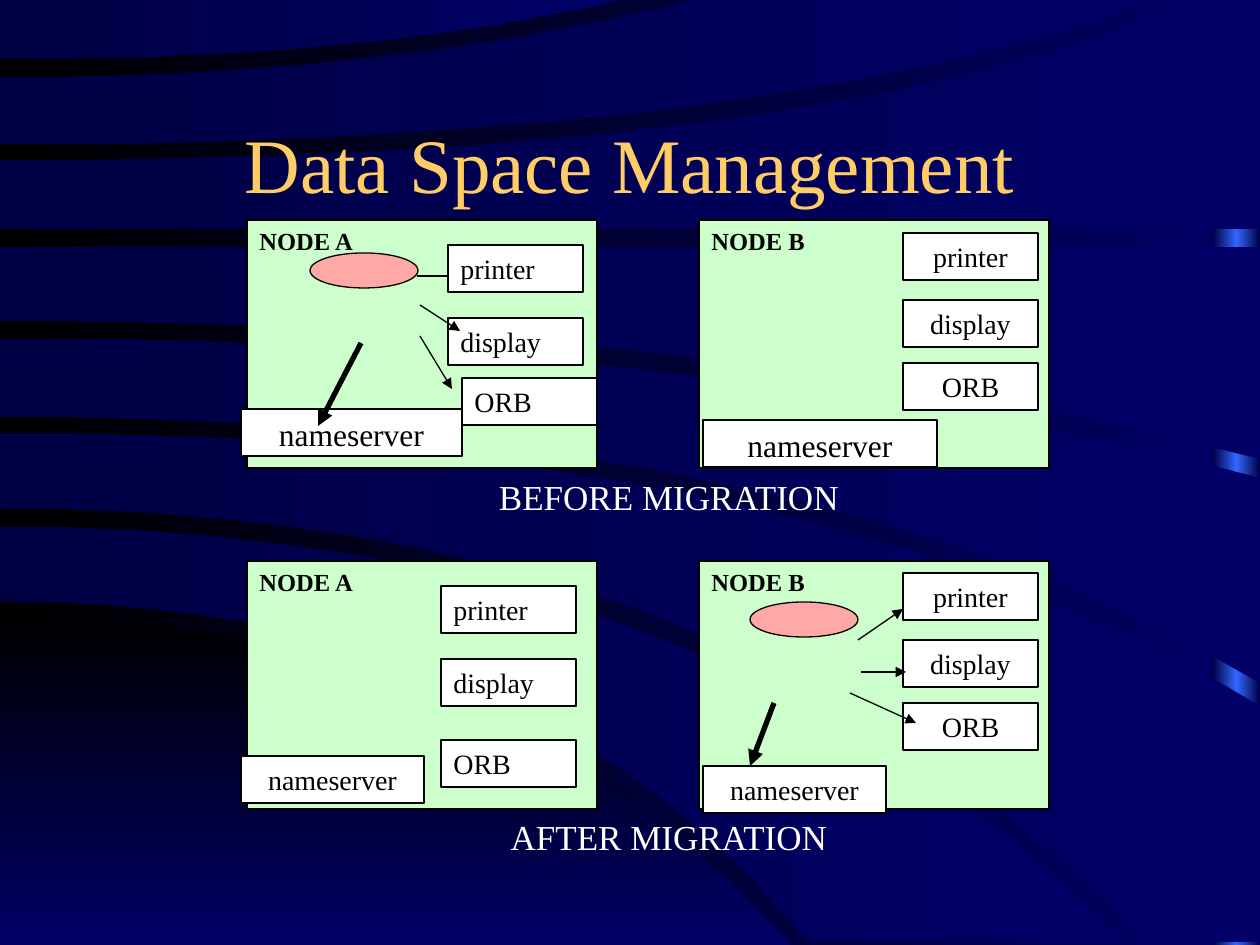
"""Build the Data Space Management slide: nodes before and after migration."""
from lxml.etree import SubElement
from copy import deepcopy
from pptx import Presentation
from pptx.dml.color import RGBColor
from pptx.enum.shapes import MSO_CONNECTOR, MSO_SHAPE
from pptx.enum.text import MSO_ANCHOR, PP_ALIGN
from pptx.oxml.ns import qn
from pptx.util import Pt

PX = 914400 / 126
FONT = "Times New Roman"
COLORS = {"navy": "000066", "deep": "000044", "black": "000000", "blue": "3366FF", "gold": "FFCC66",
          "green": "CCFFCC", "pink": "FEA8A8", "white": "FFFFFF"}
LEFT, CENTER = PP_ALIGN.LEFT, PP_ALIGN.CENTER
STEPS = 20

CORNER = {"upper": (619, 506, 791, 945), "lower": (945, 400, 791, 945)}
WAVES = [
    {"upper": (527, 718, 1125, 942), "lower": (601, 530, 809, 942)},
    {"upper": (433, 812, 1260, 706), "lower": (508, 742, 1145, 942), "corner": (1260, 942)},
    {"upper": (339, 721, 1260, 478), "lower": (416, 809, 1260, 683)},
    {"upper": (247, 630, 1260, 247), "lower": (321, 738, 1260, 459)},
    {"upper": (161, 843, 1188, 0), "lower": (229, 630, 1260, 229), "corner": (1260, 0)},
    {"upper": (78, 392, 691, 0), "lower": (144, 774, 1152, 0)},
    {"upper": (0, 310, 620, 0), "lower": (59, 372, 620, 0)},
]

SERVICES = ["printer", "display", "ORB"]
NODES = [
    {"name": "NODE A", "at": (247, 220), "align": LEFT, "services": [(448, 245), (448, 318), (462, 378)],
     "server": (241, 409, 221, 18), "process": (310, 253), "under": [(417, 276, 490, 276, 0.75)],
     "over": [(420, 336, 452, 389, 0.75), (420, 305, 460, 331, 0.75), (361, 343, 318, 426, 3)]},
    {"name": "NODE B", "at": (699, 220), "align": CENTER, "services": [(903, 233), (903, 300), (903, 363)],
     "server": (703, 420, 234, 18)},
    {"name": "NODE A", "at": (247, 561), "align": LEFT, "services": [(441, 586), (441, 659), (441, 740)],
     "server": (241, 756, 183, 16)},
    {"name": "NODE B", "at": (699, 561), "align": CENTER, "services": [(903, 573), (903, 640), (903, 703)],
     "server": (703, 766, 183, 16), "process": (750, 602),
     "over": [(858, 640, 903, 609, 0.75), (861, 672, 906, 672, 0.75), (850, 693, 916, 723, 0.75),
              (774, 703, 750, 766, 3)]},
]
CAPTIONS = [("BEFORE MIGRATION", 469), ("AFTER MIGRATION", 809)]


def emu(*values):
    return [round(v * PX) for v in values]


def rgb(name):
    return RGBColor.from_string(COLORS[name])


def gradient(fill, names, angle=180):
    fill.gradient()
    fill.gradient_angle = angle
    first = fill.gradient_stops[0]._gs
    for _ in names[2:]:
        first.addnext(deepcopy(first))
    for i, (stop, name) in enumerate(zip(fill.gradient_stops, names)):
        stop.position = i / (len(names) - 1)
        stop.color.rgb = rgb(name)


def write(sp, text, size, color, align, bold=False, anchor=MSO_ANCHOR.TOP):
    tf = sp.text_frame
    tf.word_wrap = True
    tf.vertical_anchor = anchor
    p = tf.paragraphs[0]
    p.alignment = align
    r = p.add_run()
    r.text = text
    r.font.name, r.font.size, r.font.bold = FONT, Pt(size), bold
    r.font.color.rgb = rgb(color)


def shape(s, kind, box, color):
    sp = s.shapes.add_shape(kind, *emu(*box))
    sp.shadow.inherit = False
    sp.fill.solid()
    sp.fill.fore_color.rgb = rgb(color)
    sp.line.color.rgb = rgb("black")
    sp.line.width = Pt(0.75)
    return sp


def curve(start_y, bend_x, end_x, end_y):
    ts = [i / STEPS for i in range(STEPS + 1)]
    return [(2 * t * (1 - t) * bend_x + t * t * end_x, start_y + t * t * (end_y - start_y)) for t in ts]


def wave(s, band, names, angle=180):
    corner = [band["corner"]] if "corner" in band else []
    points = curve(*band["upper"]) + corner + curve(*band["lower"])[::-1]
    builder = s.shapes.build_freeform(*points[0], scale=PX)
    builder.add_line_segments(points[1:])
    sp = builder.convert_to_shape()
    sp.shadow.inherit = False
    sp.line.fill.background()
    gradient(sp.fill, names, angle)


def arrow(s, x1, y1, x2, y2, width):
    c = s.shapes.add_connector(MSO_CONNECTOR.STRAIGHT, *emu(x1, y1, x2, y2))
    c.line.color.rgb = rgb("black")
    c.line.width = Pt(width)
    SubElement(c.line._get_or_add_ln(), qn("a:tailEnd"), type="triangle")
    SubElement(c._element.spPr, qn("a:effectLst"))


def label(s, text, box, size, color, align, bold=False):
    write(s.shapes.add_textbox(*emu(*box)), text, size, color, align, bold)


def draw_node(s, node):
    x, y = node["at"]
    shape(s, MSO_SHAPE.RECTANGLE, (x, y, 350, 248), "green")
    if "process" in node:
        shape(s, MSO_SHAPE.OVAL, (*node["process"], 108, 35), "pink")
    for link in node.get("under", []):
        arrow(s, *link)
    for text, at in zip(SERVICES, node["services"]):
        write(shape(s, MSO_SHAPE.RECTANGLE, (*at, 135, 47), "white"), text, 16, "black", node["align"])
    left, top, width, size = node["server"]
    server = shape(s, MSO_SHAPE.RECTANGLE, (left, top, width, 47), "white")
    write(server, "nameserver", size, "black", CENTER)
    label(s, node["name"], (x, y, 126, 55), 14, "black", LEFT, True)
    for link in node.get("over", []):
        arrow(s, *link)


def main():
    prs = Presentation()
    prs.slide_width, prs.slide_height = emu(1260, 945)
    s = prs.slides.add_slide(prs.slide_layouts[5])
    gradient(s.background.fill, ["navy", "black"])
    edge = s.shapes.add_shape(MSO_SHAPE.RECTANGLE, *emu(1213, 0, 47, 945))
    edge.shadow.inherit = False
    edge.line.fill.background()
    gradient(edge.fill, ["deep", "blue", "deep"])
    wave(s, CORNER, ["black", "navy"], 270)
    for band in WAVES:
        wave(s, band, ["navy", "deep"])
    title = s.shapes.title
    title.left, title.top, title.width, title.height = emu(95, 84, 1070, 158)
    write(title, "Data Space Management", 44, "gold", CENTER, anchor=MSO_ANCHOR.MIDDLE)
    s.shapes._spTree.append(title._element)
    for node in NODES:
        draw_node(s, node)
    for text, top in CAPTIONS:
        label(s, text, (448, top, 442, 87), 20, "white", CENTER)
    prs.save("out.pptx")


if __name__ == "__main__":
    main()
